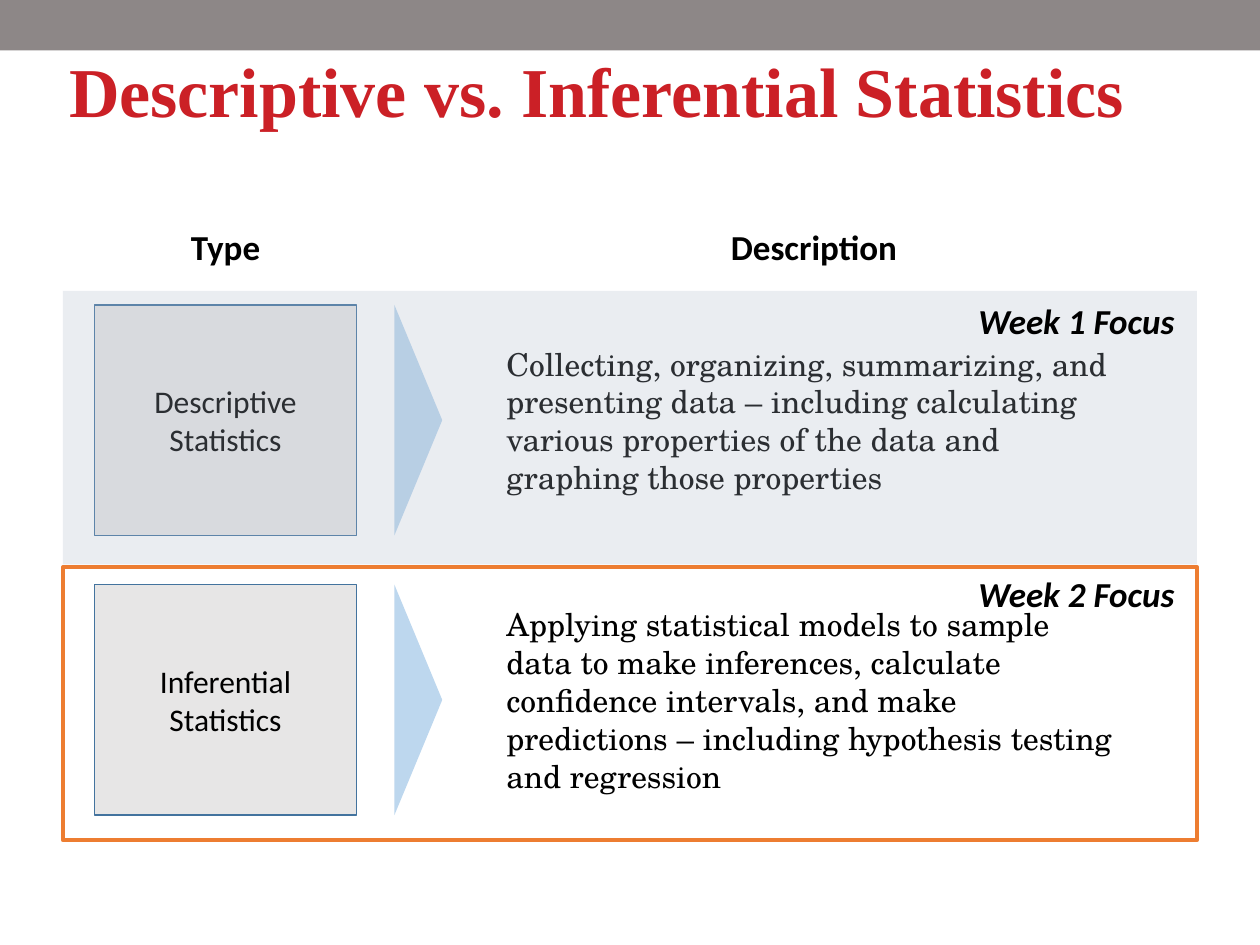
from lxml.etree import SubElement
from pptx import Presentation
from pptx.dml.color import RGBColor
from pptx.enum.shapes import MSO_SHAPE
from pptx.enum.text import MSO_ANCHOR, PP_ALIGN
from pptx.oxml.ns import qn
from pptx.util import Inches, Pt

# Content
TITLE = "Descriptive vs. Inferential Statistics"
HEADS = ("Type", "Description")
ROWS = [
    dict(type="Descriptive Statistics", week="Week 1 Focus",
         text="Collecting, organizing, summarizing, and presenting data – including "
              "calculating various properties of the data and graphing those properties",
         top=2.42, band=2.31, note=2.33, fill="ADB9CA", line=None),
    dict(type="Inferential Statistics", week="Week 2 Focus",
         text="Applying statistical models to sample data to make inferences, calculate "
              "confidence intervals, and make predictions – including hypothesis testing "
              "and regression",
         top=4.64, band=4.5, note=4.5, fill=None, line="ED7D31"),
]

# Grid
WIDE, TALL = 10, 7.5
EDGE, SPAN = 0.5, 9
COLS = ((0.75, 2.08), (3.92, 5.08))
HEAD, LINE = 1.75, 0.42
CARD, BAND = 1.83, 2.17
TIP, TIP_X = 0.38, 3.32

# Text formats
BODY = dict(name="Calibri", size=Pt(18))
PROSE = dict(BODY, name="TeX Gyre Schola")
BOLD = dict(BODY, size=Pt(20), bold=True)
NOTE = dict(BOLD, italic=True)
MAIN = dict(name="Times New Roman", size=Pt(40), bold=True)

deck = Presentation()
deck.slide_width, deck.slide_height = Inches(WIDE), Inches(TALL)
slide = deck.slides.add_slide(deck.slide_layouts[6])


def tint(code):
    return RGBColor.from_string(code)


def write(shape, text, form, align=PP_ALIGN.LEFT, color="000000"):
    frame = shape.text_frame
    frame.word_wrap = True
    frame.vertical_anchor = MSO_ANCHOR.MIDDLE
    para = frame.paragraphs[0]
    para.text, para.alignment = text, align
    for key, value in form.items():
        setattr(para.font, key, value)
    para.font.color.rgb = tint(color)
    return frame


def label(x, y, w, h, *args):
    box = slide.shapes.add_textbox(*map(Inches, (x, y, w, h)))
    return write(box, *args)


def draw(x, y, w, h, fill=None, line=None, width=1, kind=MSO_SHAPE.RECTANGLE):
    shape = slide.shapes.add_shape(kind, *map(Inches, (x, y, w, h)))
    shape.shadow.inherit = False
    if fill:
        shape.fill.solid()
        shape.fill.fore_color.rgb = tint(fill)
    else:
        shape.fill.background()
    if line:
        shape.line.color.rgb = tint(line)
        shape.line.width = Pt(width)
    else:
        shape.line.fill.background()
    return shape


# Top bar and title
draw(0, 0, WIDE, 0.4, "8D8787")
frame = label(EDGE, 0.4, SPAN, 0.71, TITLE, MAIN, PP_ALIGN.LEFT, "CB2026")
frame.vertical_anchor = MSO_ANCHOR.TOP
frame.paragraphs[0].line_spacing = 0.9
for side in ("left", "right", "top", "bottom"):
    setattr(frame, "margin_" + side, Inches(0.05))

# Column heads
for (x, w), head in zip(COLS, HEADS):
    label(x, HEAD, w, LINE, head, BOLD, PP_ALIGN.CENTER)

# Type card, arrow tip and description of each row
(left, size), (right, room) = COLS
for row in ROWS:
    top = row["top"]
    card = draw(left, top, size, CARD, "E7E6E6", "43739E")
    write(card, row["type"], BODY, PP_ALIGN.CENTER)
    label(right, top, room, CARD, row["text"], PROSE)
    tip = draw(TIP_X - CARD / 2, top + (CARD - TIP) / 2, CARD, TIP, "BDD7EE",
               kind=MSO_SHAPE.ISOSCELES_TRIANGLE)
    tip.rotation = 90

# Bands over the rows, with their week notes
for row in reversed(ROWS):
    band = draw(EDGE, row["band"], SPAN, BAND, row["fill"], row["line"], 2.25)
    if row["fill"]:
        color = next(band.element.spPr.iter(qn("a:srgbClr")))
        SubElement(color, qn("a:alpha"), val="25000")
    label(6.92, row["note"], 2.5, LINE, row["week"], NOTE, PP_ALIGN.RIGHT)

deck.save("out.pptx")
